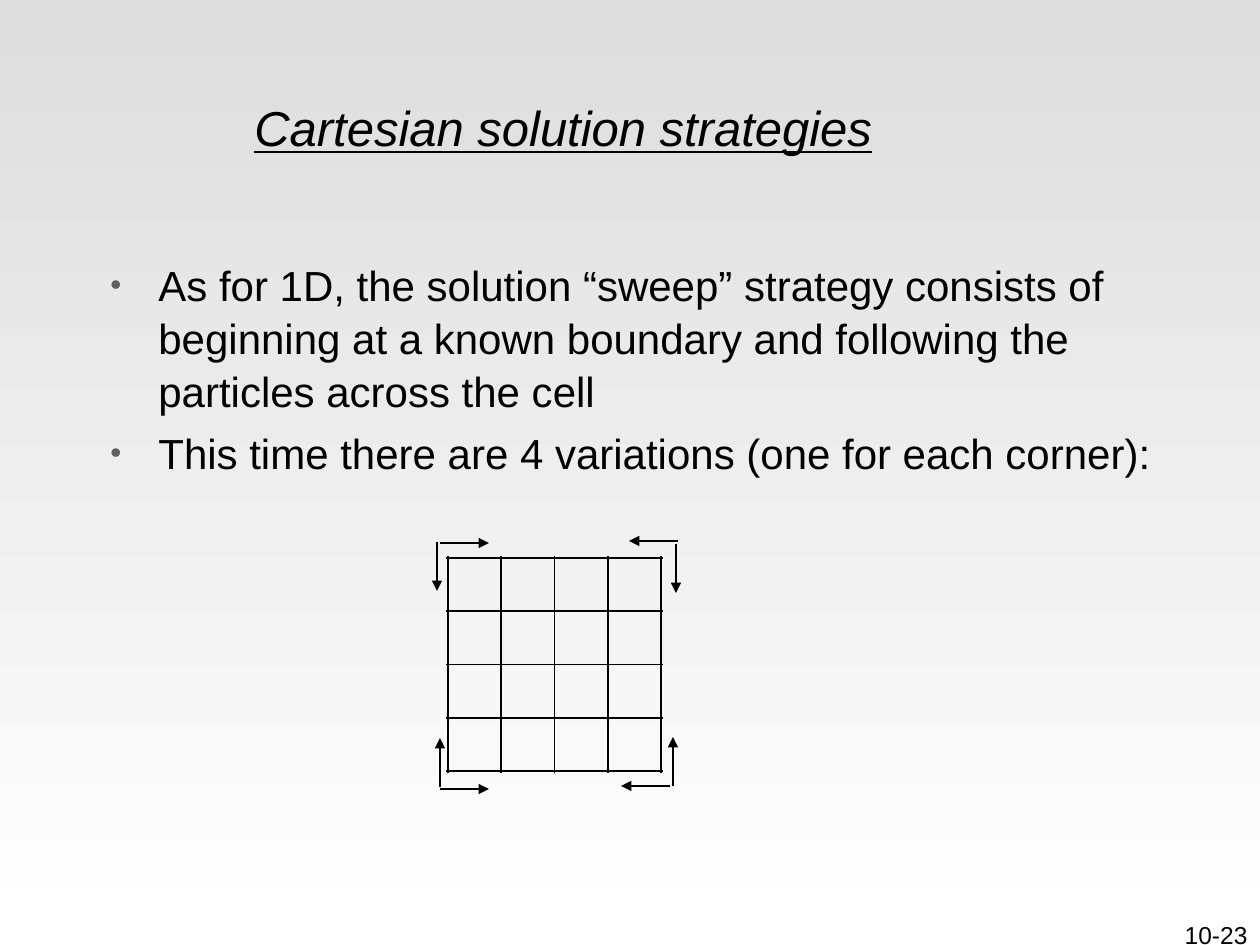
from lxml.etree import SubElement
from pptx import Presentation
from pptx.dml.color import RGBColor
from pptx.enum.shapes import MSO_CONNECTOR as Connector
from pptx.enum.text import MSO_ANCHOR as Anchor, PP_ALIGN as Align
from pptx.oxml.ns import qn
from pptx.util import Emu, Pt

SCALE = 914400 / 126
BLACK, GREY = "000000", "5F5F5F"
BACKGROUND = ("DDDDDD", "FFFFFF")

TITLE = "Cartesian solution strategies"
BULLETS = [
    "As for 1D, the solution “sweep” strategy consists of beginning at a known "
    "boundary and following the particles across the cell",
    "This time there are 4 variations (one for each corner):",
]
PAGE_NUMBER = "10-23"

# Mesh: first line, extent of the lines, cell size
CELLS, SPAN = 4, 213
MESH_LEFT, MESH_TOP = 448, 558
OVERHANG = 2

# Sweep arrows, two for each corner: start x, start y, direction x, direction y
ARROW_LENGTH = 49
SWEEPS = {
    "bottom left": [(440, 789, 1, 0), (440, 787, 0, -1)],
    "bottom right": [(673, 786, 0, -1), (670, 786, -1, 0)],
    "top right": [(678, 541, -1, 0), (676, 544, 0, 1)],
    "top left": [(437, 542, 0, 1), (440, 543, 1, 0)],
}


def px(length):
    return Emu(round(length * SCALE))


def color(value):
    return RGBColor.from_string(value)


def add_text(slide, place, lines, size, anchor=Anchor.TOP):
    box = slide.shapes.add_textbox(*map(px, place))
    frame = box.text_frame
    frame.word_wrap = True
    frame.vertical_anchor = anchor
    frame.text = "\n".join(lines)
    return frame.paragraphs, size


def style(para, size, italic=False, underline=False):
    font = para.font
    font.name, font.size = "Arial", Pt(size)
    font.italic, font.underline = italic, underline
    font.color.rgb = color(BLACK)


def add_bullet(para, indent):
    props = para._p.get_or_add_pPr()
    props.set("marL", str(px(indent)))
    props.set("indent", str(-px(indent)))
    bullet_color = SubElement(props, qn("a:buClr"))
    SubElement(bullet_color, qn("a:srgbClr"), val=GREY)
    SubElement(props, qn("a:buSzPct"), val="75000")
    SubElement(props, qn("a:buFont"), typeface="Arial")
    SubElement(props, qn("a:buChar"), char="•")


def add_line(slide, x1, y1, x2, y2, arrow=False):
    line = slide.shapes.add_connector(Connector.STRAIGHT, *map(px, (x1, y1, x2, y2)))
    line.line.color.rgb = color(BLACK)
    line.line.width = Pt(1)
    if arrow:
        SubElement(line.line._get_or_add_ln(), qn("a:tailEnd"), type="triangle")
    SubElement(line._element.spPr, qn("a:effectLst"))


def main():
    deck = Presentation()
    deck.slide_width, deck.slide_height = px(1260), px(945)
    slide = deck.slides.add_slide(deck.slide_layouts[6])

    # Background, light grey at the top to white
    fill = slide.background.fill
    fill.gradient()
    fill.gradient_angle = 270
    for stop, value, position in zip(fill.gradient_stops, BACKGROUND, (0, 1)):
        stop.color.rgb = color(value)
        stop.position = position

    # Page number
    paras, size = add_text(slide, (998, 914, 262, 63), [PAGE_NUMBER], 14)
    paras[0].alignment = Align.RIGHT
    style(paras[0], size)

    # Title
    paras, size = add_text(slide, (242, 48, 987, 158), [TITLE], 28, Anchor.MIDDLE)
    style(paras[0], size, italic=True, underline=True)

    # Bullets
    paras, size = add_text(slide, (98, 251, 1071, 648), BULLETS, 24)
    for index, para in enumerate(paras):
        para.line_spacing = 1.05
        para.space_before = Pt(5 if index else 0)
        add_bullet(para, 48)
        style(para, size)

    # Mesh
    right, bottom = MESH_LEFT + SPAN, MESH_TOP + SPAN
    for index in range(CELLS + 1):
        offset = index * SPAN / CELLS
        x, y = MESH_LEFT + offset, MESH_TOP + offset
        add_line(slide, x, bottom + OVERHANG, x, MESH_TOP - OVERHANG)
        add_line(slide, MESH_LEFT - OVERHANG, y, right + OVERHANG, y)

    # Sweep directions at the corners
    for arrows in SWEEPS.values():
        for x, y, dx, dy in arrows:
            add_line(slide, x, y, x + dx * ARROW_LENGTH, y + dy * ARROW_LENGTH, arrow=True)

    deck.save("out.pptx")


if __name__ == "__main__":
    main()
